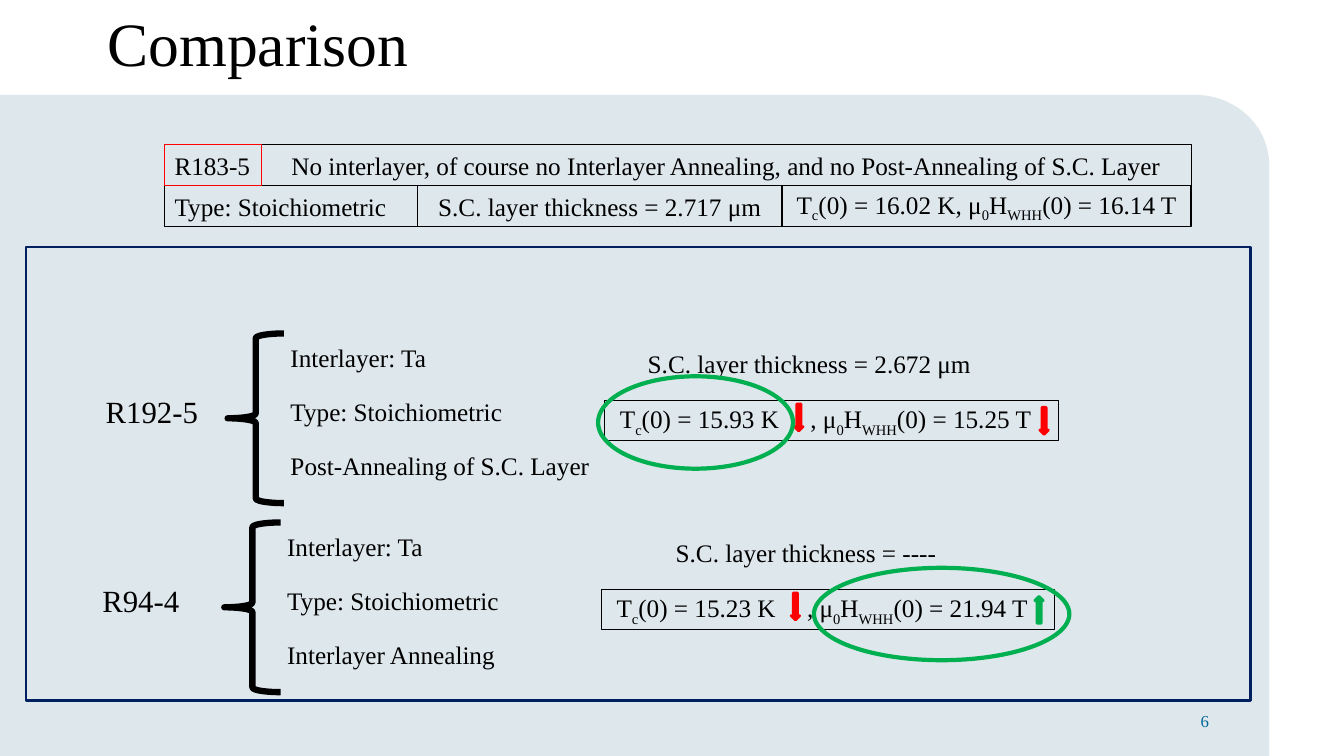
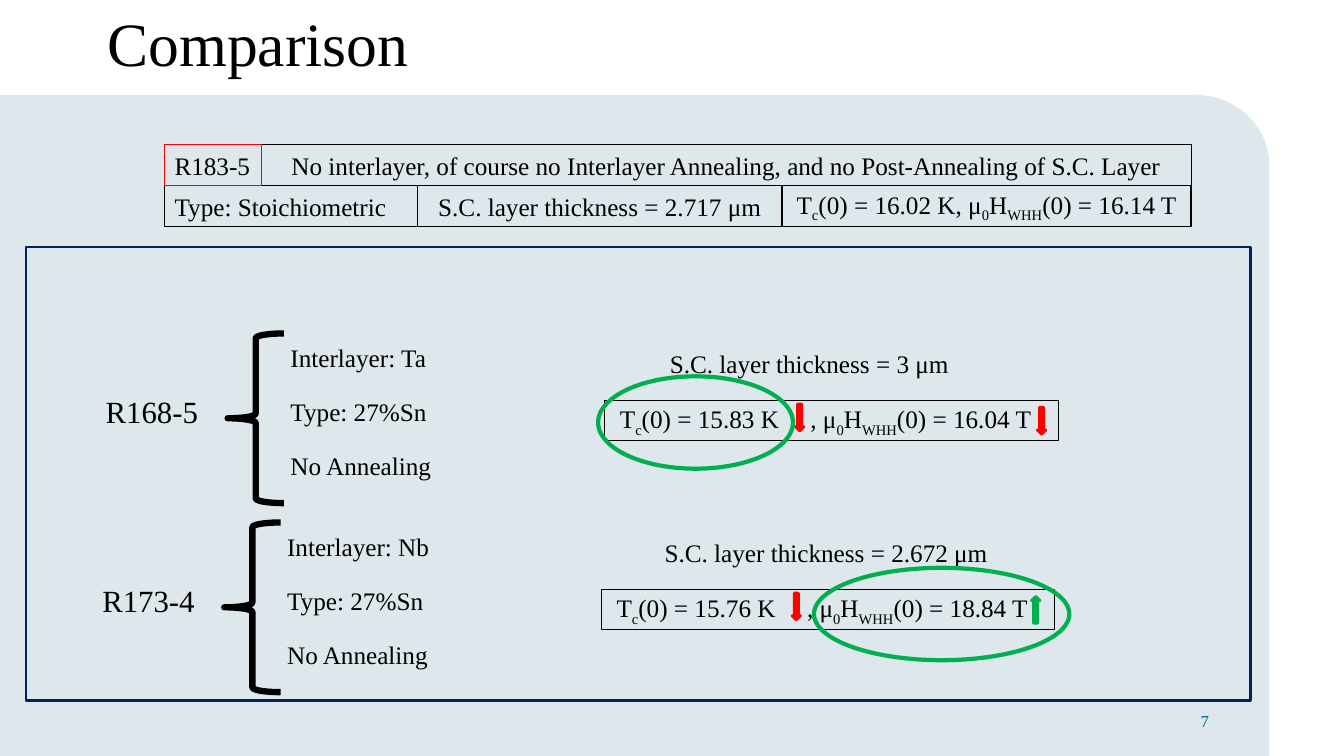
"""Build two comparison slides for superconducting samples."""
from lxml.etree import SubElement
from pptx import Presentation
from pptx.dml.color import RGBColor
from pptx.enum.shapes import MSO_SHAPE
from pptx.enum.text import MSO_ANCHOR, MSO_AUTO_SIZE, PP_ALIGN
from pptx.oxml.ns import qn
from pptx.util import Inches, Pt

COLORS = {"black": "000000", "band": "DEE7EC", "number": "006699",
          "red": "FF0000", "green": "00B050", "navy": "002060"}
FONT = "Times New Roman"
COLUMNS, ROWS = 160, 90
CELL = Inches(1) // 12
SAMPLE_SHIFT = (-0.4, 22.5)
HEADER_TOP, HEADER_ROW = 17.2, 4.9
LINE_HEIGHT = 4.8
ITEM_TOP, ITEM_STEP = 40.2, 6.4
HEADER = [
    (31.1, 141.8, 0, "black", PP_ALIGN.CENTER,
     "No interlayer, of course no Interlayer Annealing, and no Post-Annealing of S.C. Layer"),
    (93.1, 141.8, 1, "black", PP_ALIGN.CENTER, "T_c_(0) = 16.02 K, μ_0_H_WHH_(0) = 16.14 T"),
    (49.7, 93.1, 1, "black", PP_ALIGN.CENTER, "S.C. layer thickness = 2.717 μm"),
    (19.6, 49.7, 1, "black", PP_ALIGN.LEFT, "Type: Stoichiometric"),
    (19.6, 31.1, 0, "red", PP_ALIGN.LEFT, "R183-5"),
]
RINGS = [(71.2, 44.8, 23.2, 11), (97.3, 45.1, 30.4, 11)]
FIELD_ARROWS = [(MSO_SHAPE.DOWN_ARROW, "red"), (MSO_SHAPE.UP_ARROW, "green")]
SLIDES = [
    (6, [
        {"name": "R192-5", "thickness": "2.672 μm", "thickness_left": 72.7,
         "items": ["Interlayer: Ta", "Type: Stoichiometric", "Post-Annealing of S.C. Layer"],
         "temperature": "15.93", "field": "15.25", "arrows": (94.6, 123.8)},
        {"name": "R94-4", "thickness": "----", "thickness_left": 72.7,
         "items": ["Interlayer: Ta", "Type: Stoichiometric", "Interlayer Annealing"],
         "temperature": "15.23", "field": "21.94", "arrows": (94.6, 123.6)},
    ]),
    (7, [
        {"name": "R168-5", "thickness": "3 μm", "thickness_left": 72.7,
         "items": ["Interlayer: Ta", "Type: 27%Sn", "No Annealing"],
         "temperature": "15.83", "field": "16.04", "arrows": (94.7, 123.5)},
        {"name": "R173-4", "thickness": "2.672 μm", "thickness_left": 75.1,
         "items": ["Interlayer: Nb", "Type: 27%Sn", "No Annealing"],
         "temperature": "15.76", "field": "18.84", "arrows": (94.7, 123.2)},
    ]),
]


def draw(page, kind, spot, line=None, weight=0.75, fill=None, shift=(0, 0)):
    """Place a preset shape, or a text box when kind is None, on the cell grid."""
    left, top, width, height = spot
    lengths = [round(count * CELL) for count in (left + shift[0], top + shift[1], width, height)]
    if kind is None:
        return page.shapes.add_textbox(*lengths)
    shape = page.shapes.add_shape(kind, *lengths)
    shape.shadow.inherit = False
    if fill:
        shape.fill.solid()
        shape.fill.fore_color.rgb = RGBColor.from_string(COLORS[fill])
    else:
        shape.fill.background()
    if line:
        shape.line.color.rgb = RGBColor.from_string(COLORS[line])
        shape.line.width = Pt(weight)
    else:
        shape.line.fill.background()
    return shape


def write(shape, text, size=18, color="black", align=PP_ALIGN.LEFT, wrap=True):
    """Fill a shape with one paragraph; parts between underscores are subscripts."""
    frame = shape.text_frame
    frame.word_wrap = wrap
    frame.auto_size = MSO_AUTO_SIZE.NONE
    frame.vertical_anchor = MSO_ANCHOR.MIDDLE
    para = frame.paragraphs[0]
    para.alignment = align
    for index, part in enumerate(text.split("_")):
        span = para.add_run()
        span.text = part
        span.font.name = FONT
        span.font.size = Pt(size)
        span.font.color.rgb = RGBColor.from_string(COLORS[color])
        if index % 2:
            span._r.get_or_add_rPr().set("baseline", "-25000")
    return para


deck = Presentation()
deck.slide_width, deck.slide_height = COLUMNS * CELL, ROWS * CELL
layout = deck.slide_layouts[5]
pages = [deck.slides.add_slide(layout) for _ in SLIDES]

bands = [
    (MSO_SHAPE.RECTANGLE, (0, 11.3, 142.4, 78.7)),
    (MSO_SHAPE.OVAL, (133.5, 11.3, 17.6, 16.7)),
    (MSO_SHAPE.RECTANGLE, (85.7, 19.4, 65.4, 70.6)),
]
for kind, spot in bands:
    band = draw(pages[0], kind, spot, fill="band")
    layout.shapes.element.insert(2, band.element)

for page, (number, samples) in zip(pages, SLIDES):
    title = page.shapes.title
    title.left, title.top, title.width, title.height = (
        round(count * CELL) for count in (12.8, 0, 144, 11))
    frame = title.text_frame
    frame.margin_left = frame.margin_right = frame.margin_top = frame.margin_bottom = 0
    write(title, "Comparison", size=44).line_spacing = 0.9
    number_box = draw(page, None, (114.7, 83.4, 30.4, LINE_HEIGHT))
    write(number_box, str(number), size=12, color="number", align=PP_ALIGN.RIGHT)

    for left, right, row, color, align, text in HEADER:
        spot = (left, HEADER_TOP + row * HEADER_ROW, right - left, HEADER_ROW)
        write(draw(page, MSO_SHAPE.RECTANGLE, spot, line=color), text, align=align)

    for order, sample in enumerate(samples):
        shift = [order * step for step in SAMPLE_SHIFT]
        write(draw(page, None, (11.4, 46.1, 14.5, 5.6), shift=shift), sample["name"], size=22)
        draw(page, MSO_SHAPE.LEFT_BRACE, (27.1, 39.7, 6.7, 20.2), "black", 4.5, shift=shift)
        for index, item in enumerate(sample["items"]):
            spot = (33.4, ITEM_TOP + index * ITEM_STEP, 40, LINE_HEIGHT)
            write(draw(page, None, spot, shift=shift), item)

        spot = (sample["thickness_left"], 40.9, 47.3, LINE_HEIGHT)
        write(draw(page, None, spot, shift=shift),
              f"S.C. layer thickness = {sample['thickness']}", align=PP_ALIGN.CENTER)

        result = draw(page, MSO_SHAPE.RECTANGLE, (72, 47.7, 54, LINE_HEIGHT), "black", shift=shift)
        result.text_frame.margin_left = Inches(0.15)
        para = write(result, f"T_c_(0) = {sample['temperature']} K\t, "
                             f"μ_0_H_WHH_(0) = {sample['field']} T", wrap=True)
        tabs = SubElement(para._p.get_or_add_pPr(), qn("a:tabLst"))
        SubElement(tabs, qn("a:tab"), pos=str(Inches(1.89)), algn="l")

        arrows = [(MSO_SHAPE.DOWN_ARROW, "red"), FIELD_ARROWS[order]]
        for left, top, (kind, color) in zip(sample["arrows"], (48.1, 48.5), arrows):
            draw(page, kind, (left, top, 1, 3.2), color, 2, color, shift)
        draw(page, MSO_SHAPE.OVAL, RINGS[order], "green", 3, shift=shift)

    draw(page, MSO_SHAPE.RECTANGLE, (3.1, 29.4, 145.8, 54), "navy", 2)

deck.save("out.pptx")
